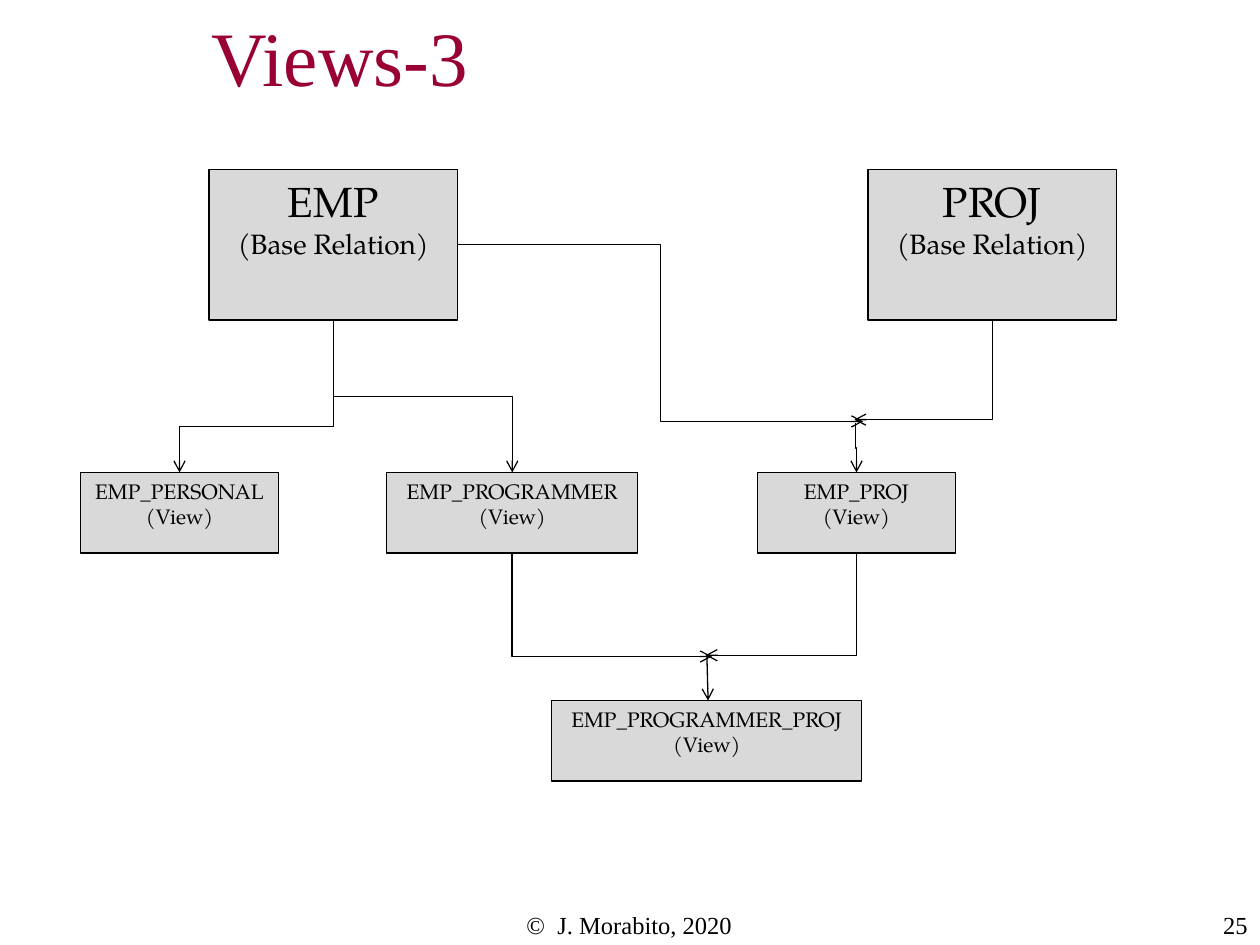
from dataclasses import dataclass

from lxml import etree
from pptx import Presentation
from pptx.dml.color import RGBColor
from pptx.enum.shapes import MSO_CONNECTOR, MSO_SHAPE
from pptx.enum.text import MSO_ANCHOR, PP_ALIGN
from pptx.oxml.ns import qn
from pptx.util import Inches, Pt

LEFT, CENTER, RIGHT = PP_ALIGN.LEFT, PP_ALIGN.CENTER, PP_ALIGN.RIGHT
TOP, MIDDLE = MSO_ANCHOR.TOP, MSO_ANCHOR.MIDDLE
STRAIGHT, ELBOW = MSO_CONNECTOR.STRAIGHT, MSO_CONNECTOR.ELBOW

CRIMSON = RGBColor(0x99, 0x00, 0x33)
BLACK = RGBColor(0x00, 0x00, 0x00)
GREY = RGBColor(0xD9, 0xD9, 0xD9)

SERIF = "Times New Roman"
BOOK = "TeX Gyre Pagella"

COLUMNS, ROWS = 100, 75
CELL = Inches(0.1)


def cells(*counts):
    return [round(count * CELL) for count in counts]


def write(shape, lines, font=SERIF, color=BLACK, align=CENTER, anchor=TOP):
    """Fill a shape with one paragraph per (text, size) pair."""
    frame = shape.text_frame
    frame.word_wrap = True
    frame.vertical_anchor = anchor
    for index, (text, size) in enumerate(lines):
        paragraph = frame.add_paragraph() if index else frame.paragraphs[0]
        paragraph.alignment = align
        run = paragraph.add_run()
        run.text = text
        run.font.name = font
        run.font.size = Pt(size)
        run.font.color.rgb = color


@dataclass
class Relation:
    """The outline of a relation box, in grid cells."""
    center: float
    top: float
    width: float
    height: float

    @property
    def head(self):
        return self.center, self.top

    @property
    def foot(self):
        return self.center, self.top + self.height

    @property
    def right_edge(self):
        return self.center + self.width / 2, self.top + self.height / 2


class Diagram:
    line_width = Pt(0.75)

    def __init__(self, slide):
        self.slide = slide
        self.shapes = slide.shapes

    def title(self, text, left, top, width, height):
        holder = self.shapes.title
        holder.left, holder.top, holder.width, holder.height = cells(
            left, top, width, height)
        write(holder, [(text, 44)], color=CRIMSON, align=LEFT, anchor=MIDDLE)

    def footer(self, text, left, top, width, height, align):
        box = self.shapes.add_textbox(*cells(left, top, width, height))
        write(box, [(text, 14)], align=align)

    def relation(self, lines, center, top, width, height):
        box = self.shapes.add_shape(
            MSO_SHAPE.RECTANGLE, *cells(center - width / 2, top, width, height))
        box.shadow.inherit = False
        box.fill.solid()
        box.fill.fore_color.rgb = GREY
        box.line.color.rgb = BLACK
        box.line.width = self.line_width
        write(box, lines, font=BOOK)
        return Relation(center, top, width, height)

    def base(self, name, center):
        lines = [(name, 24), ("(Base Relation)", 16)]
        return self.relation(lines, center, 13.45, 19.7, 11.95)

    def view(self, name, center, top, width):
        lines = [(name, 12), ("(View)", 12)]
        return self.relation(lines, center, top, width, 6.4)

    def arrow(self, start, end, kind=STRAIGHT):
        connector = self.shapes.add_connector(kind, *cells(*start, *end))
        connector.line.color.rgb = BLACK
        connector.line.width = self.line_width
        outline = connector.line._get_or_add_ln()
        etree.SubElement(outline, qn("a:tailEnd"), type="arrow")
        etree.SubElement(connector._element.spPr, qn("a:effectLst"))
        return connector

    def drop(self, start, end, bend=None):
        """Arrow that leaves downwards; bend is the share of the drop before
        it turns sideways, and without one it ends on the sideways part."""
        (x1, y1), (x2, y2) = start, end
        middle_x, middle_y = (x1 + x2) / 2, (y1 + y2) / 2
        length, breadth = y2 - y1, abs(x2 - x1)
        left, top = middle_x - length / 2, middle_y - breadth / 2
        connector = self.arrow(
            (left, top), (left + length, top + breadth), ELBOW)
        properties = connector._element.spPr
        frame = properties.find(qn("a:xfrm"))
        if x2 < x1:
            frame.set("rot", "5400000")
        else:
            frame.set("rot", "16200000")
            frame.set("flipH", "1")
        geometry = properties.find(qn("a:prstGeom"))
        if bend is None:
            geometry.set("prst", "bentConnector2")
        else:
            etree.SubElement(geometry.find(qn("a:avLst")), qn("a:gd"),
                             name="adj1", fmla=f"val {round(bend * 100000)}")


def main():
    deck = Presentation()
    deck.slide_width, deck.slide_height = cells(COLUMNS, ROWS)
    diagram = Diagram(deck.slides.add_slide(deck.slide_layouts[5]))

    diagram.title("Views-3", 15.8, 0.8, COLUMNS - 15.8, 7.2)
    diagram.footer("©  J. Morabito, 2020", 34.1, 71.7, 31.7, 2.5, CENTER)
    diagram.footer("25", COLUMNS - 14.2, 71.7, 14.2, 3.3, RIGHT)

    emp = diagram.base("EMP", 26.45)
    proj = diagram.base("PROJ", 78.75)
    view_row = 37.5
    personal = diagram.view("EMP_PERSONAL", 14.25, view_row, 15.7)
    programmer = diagram.view("EMP_PROGRAMMER", 40.65, view_row, 19.9)
    emp_proj = diagram.view("EMP_PROJ", 67.98, view_row, 15.7)
    programmer_proj = diagram.view("EMP_PROGRAMMER_PROJ", 56.1, 55.6, 24.6)

    diagram.drop(emp.foot, personal.head, bend=0.7)
    diagram.drop(emp.foot, programmer.head, bend=0.5)

    diagram.arrow(emp.right_edge, (68.5, 33.45), ELBOW)
    diagram.drop(proj.foot, (67.8, 33.3))
    diagram.drop((67.9, 33.6), emp_proj.head, bend=0.5)

    diagram.drop(programmer.foot, (56.5, 52.1))
    diagram.drop(emp_proj.foot, (56, 52))
    diagram.arrow((56.1, 51.9), (56.2, programmer_proj.top))

    deck.save("out.pptx")


if __name__ == "__main__":
    main()
